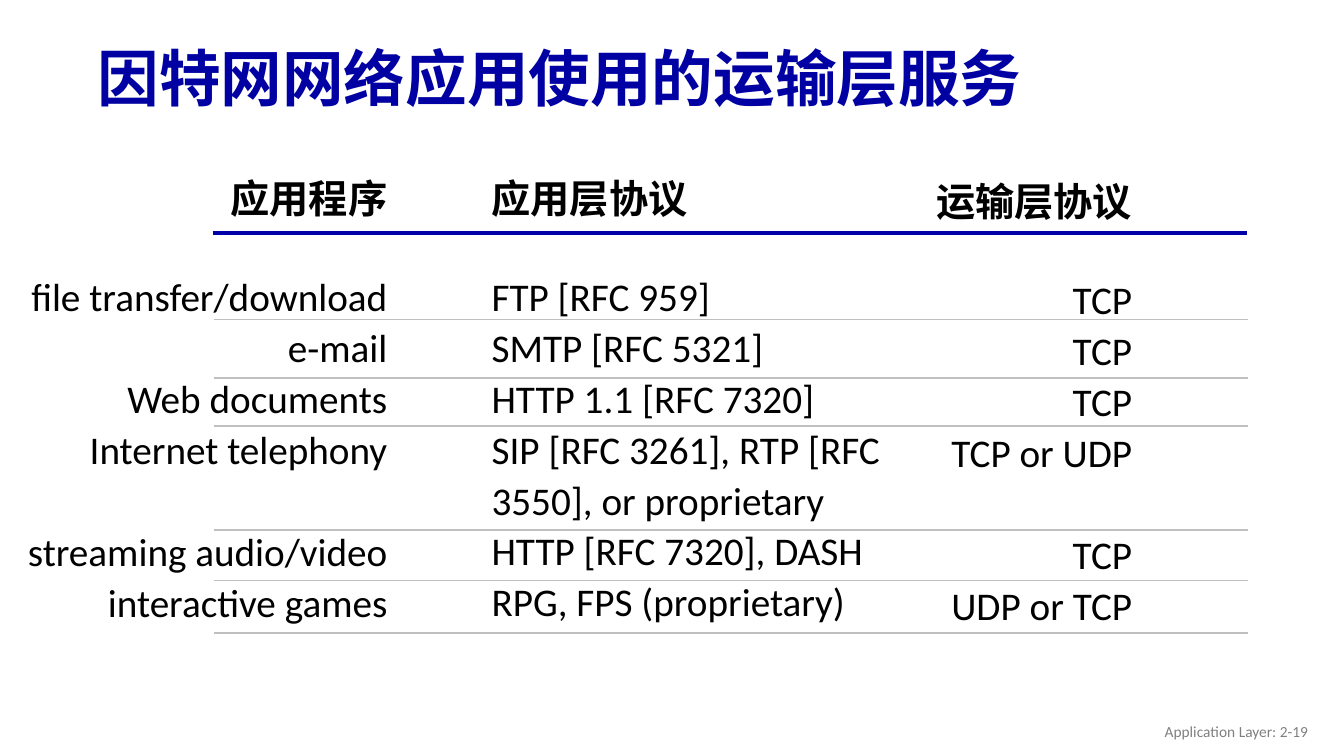
import pptx
import pptx.util
import pptx.dml.color
import pptx.enum.shapes
import pptx.enum.text
from lxml import etree
from pptx.util import Cm, Pt

COLORS = {
    "title": "0000A3",
    "header_rule": "0000A8",
    "row_rule": "BFBFBF",
    "text": "000000",
    "footer": "808080",
}
ALIGN = pptx.enum.text.PP_ALIGN
ANCHOR = pptx.enum.text.MSO_ANCHOR
DRAWING = "http://schemas.openxmlformats.org/drawingml/2006/main"
TELEPHONY = "Internet telephony"
TWO_LINE_ROW = {TELEPHONY, "TCP or UDP"}
HEADER_GAP = Pt(34)
ROW_PITCH = Pt(37)

APPLICATIONS = ["file transfer/download", "e-mail", "Web documents", TELEPHONY,
                "streaming audio/video", "interactive games"]
PROTOCOLS = ["FTP [RFC 959]", "SMTP [RFC 5321]", "HTTP 1.1 [RFC 7320]",
             "SIP [RFC 3261], RTP [RFC 3550], or proprietary",
             "HTTP [RFC 7320], DASH", "RPG, FPS (proprietary)"]
TRANSPORTS = ["TCP", "TCP", "TCP", "TCP or UDP", "TCP", "UDP or TCP"]
ROW_RULES = [8.05, 9.53, 10.74, 13.36, 14.63, 15.95]


def rgb(name):
    return pptx.dml.color.RGBColor.from_string(COLORS[name])


def add_frame(slide, left, top, width, height, anchor=ANCHOR.TOP):
    frame = slide.shapes.add_textbox(Cm(left), Cm(top), Cm(width), Cm(height)).text_frame
    frame.word_wrap = True
    frame.vertical_anchor = anchor
    return frame


def write(paragraph, text, size, font, color, bold=False, align=ALIGN.LEFT, spacing=None):
    paragraph.text = text
    paragraph.alignment = align
    paragraph.line_spacing = spacing
    paragraph.font.size = Pt(size)
    paragraph.font.name = font
    paragraph.font.bold = bold
    paragraph.font.color.rgb = rgb(color)


def add_column(slide, left, top, width, heading, entries, align):
    frame = add_frame(slide, left, top, width, 11.81)
    header = frame.paragraphs[0]
    write(header, heading, 28, "Arial", "text", bold=True, align=align)
    header.space_after = HEADER_GAP
    for entry in entries:
        row = frame.add_paragraph()
        write(row, entry, 28, "Calibri", "text", align=align, spacing=1.08)
        if entry in TWO_LINE_ROW:
            row.space_after = ROW_PITCH


def add_rule(slide, left, right, y, color, weight):
    rule = slide.shapes.add_connector(pptx.enum.shapes.MSO_CONNECTOR.STRAIGHT,
                                      Cm(left), Cm(y), Cm(right), Cm(y))
    rule.line.color.rgb = rgb(color)
    rule.line.width = Pt(weight)
    etree.SubElement(rule._element.spPr, f"{{{DRAWING}}}effectLst")


def main():
    presentation = pptx.Presentation()
    presentation.slide_width = Cm(33.87)
    presentation.slide_height = Cm(19.05)
    slide = presentation.slides.add_slide(presentation.slide_layouts[6])

    title = add_frame(slide, 2.21, 0.81, 29.21, 2.49, ANCHOR.MIDDLE)
    write(title.paragraphs[0], "因特网网络应用使用的运输层服务", 44,
          "Noto Sans CJK SC", "title", bold=True, spacing=0.9)

    add_column(slide, 0.33, 4.27, 9.68, "应用程序", APPLICATIONS, ALIGN.RIGHT)
    add_rule(slide, 5.36, 31.42, 5.87, "header_rule", 2.5)
    for y in ROW_RULES:
        add_rule(slide, 5.4, 31.45, y, "row_rule", 1.25)
    add_column(slide, 12.14, 4.27, 11.18, "应用层协议", PROTOCOLS, ALIGN.LEFT)
    add_column(slide, 23.19, 4.34, 5.59, "运输层协议", TRANSPORTS, ALIGN.RIGHT)

    footer = add_frame(slide, 25.6, 17.91, 7.62, 1.02, ANCHOR.MIDDLE)
    write(footer.paragraphs[0], "Application Layer: 2-19", 11, "Calibri", "footer",
          align=ALIGN.RIGHT)

    presentation.save("out.pptx")


if __name__ == "__main__":
    main()
